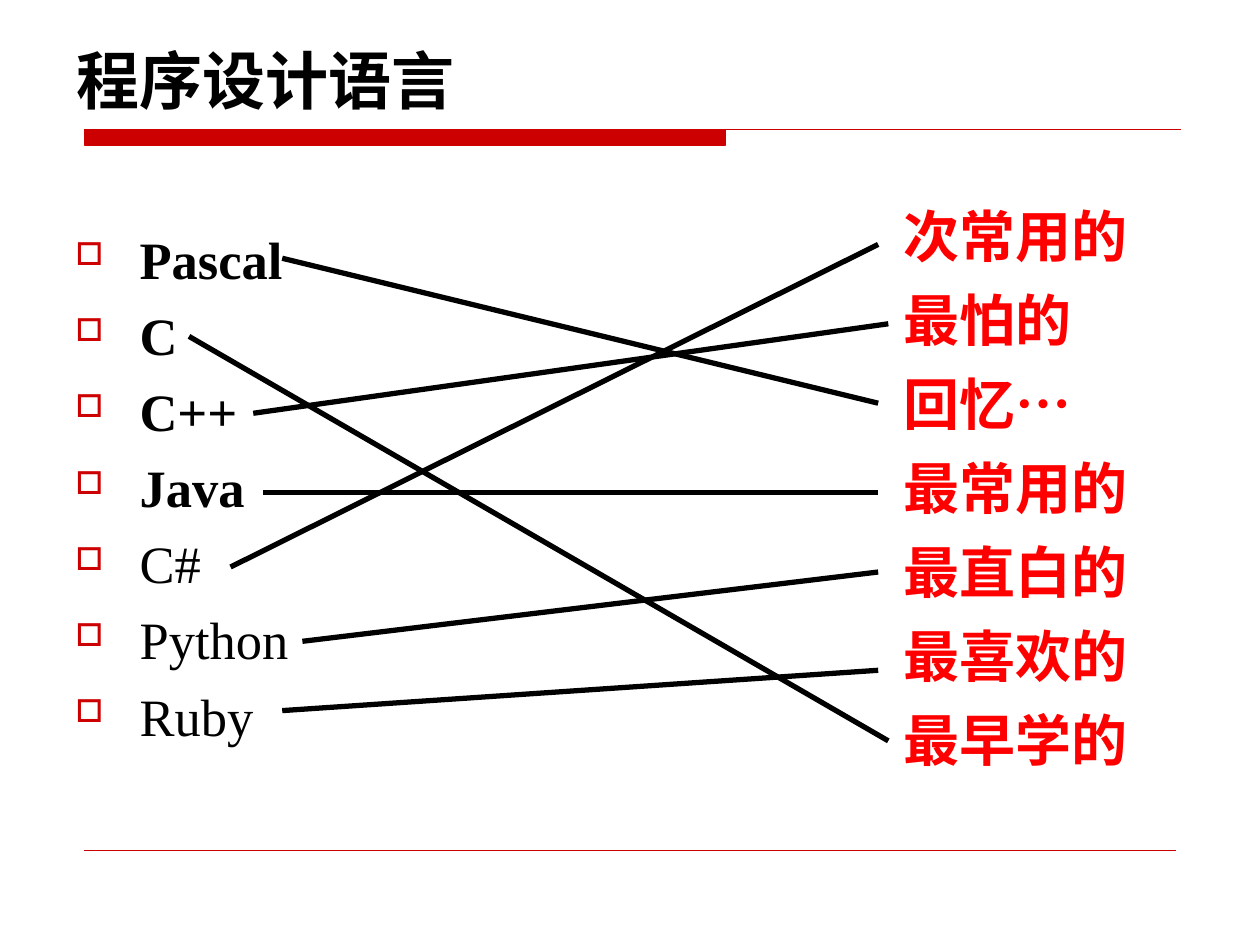
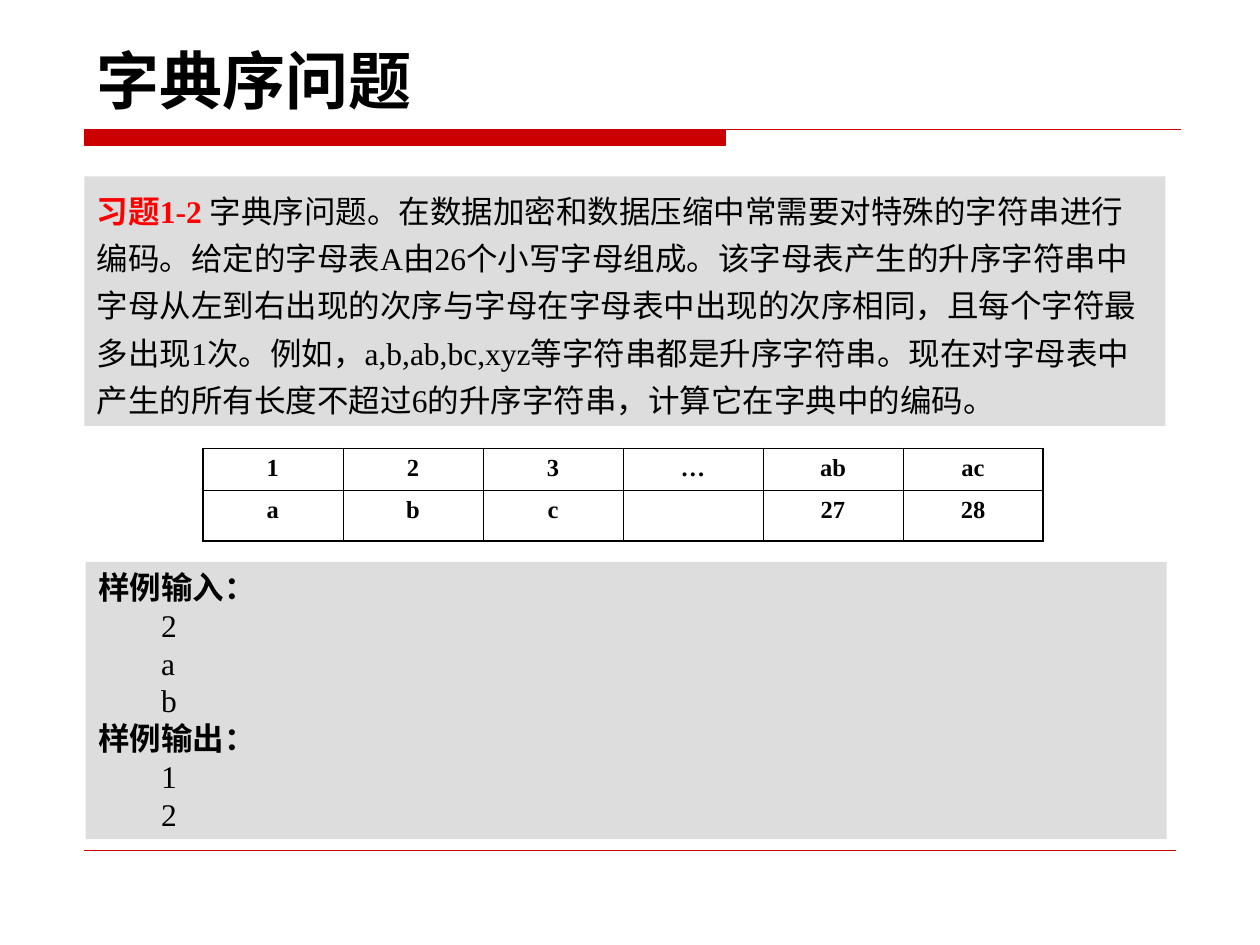
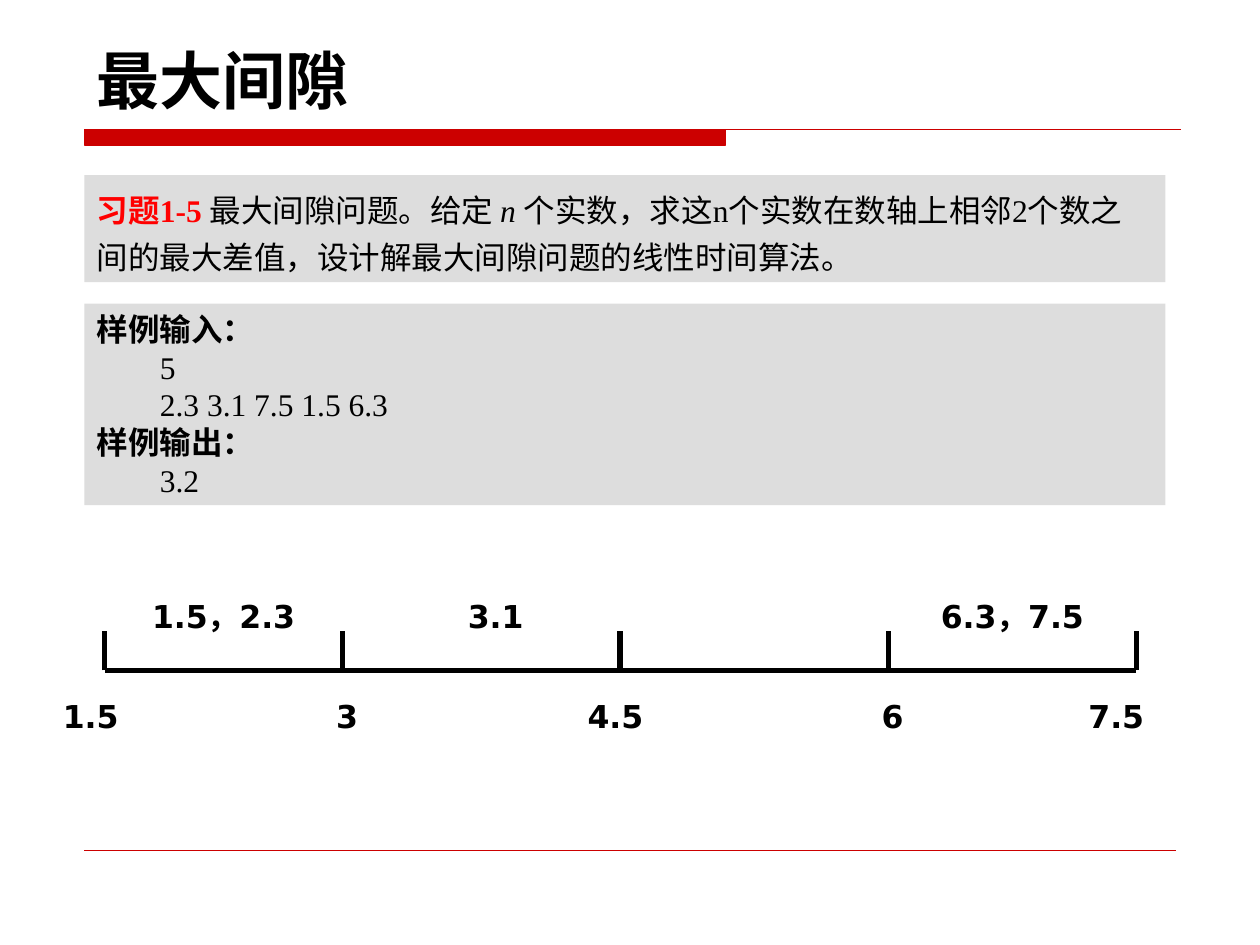
from dataclasses import dataclass

from lxml import etree
from pptx import Presentation
from pptx.dml.color import RGBColor
from pptx.enum import shapes, text
from pptx.oxml.ns import qn
from pptx.util import Inches, Pt


@dataclass(frozen=True)
class Theme:
    red: str = "CC0000"
    bright: str = "FF0000"
    black: str = "000000"
    panel: str = "DDDDDD"
    title_font: str = "DejaVu Sans"
    body_font: str = "Times New Roman"
    note_font: str = "Arial"
    title_size: int = 36
    note_size: int = 32
    list_size: int = 30
    body_size: int = 18
    cell_size: int = 14


T = Theme()


def rgb(color):
    return RGBColor.from_string(color)


def inches(*values):
    return [Inches(v) for v in values]


def add_run(p, content, size=T.body_size, font=T.body_font, color=T.black,
            bold=False, italic=False):
    r = p.add_run()
    r.text = content
    f = r.font
    f.size, f.name, f.bold, f.italic = Pt(size), font, bold, italic
    f.color.rgb = rgb(color)


def write(tf, paragraphs, align=text.PP_ALIGN.LEFT, spacing=None, before=0,
          bullet=None, **fmt):
    """Fill a frame; a paragraph is a string or a list of (text, format) runs."""
    tf.word_wrap = True
    for i, runs in enumerate(paragraphs):
        p = tf.add_paragraph() if i else tf.paragraphs[0]
        p.alignment = align
        if spacing:
            p.line_spacing = spacing
        if i and before:
            p.space_before = Pt(before)
        if bullet:
            add_bullet(p, bullet)
        for content, own in [(runs, {})] if isinstance(runs, str) else runs:
            add_run(p, content, **{**fmt, **own})


def add_bullet(p, char, indent=0.51):
    pPr = p._p.get_or_add_pPr()
    pPr.set("marL", str(Inches(indent)))
    pPr.set("indent", str(-Inches(indent)))
    color = etree.SubElement(pPr, qn("a:buClr"))
    etree.SubElement(color, qn("a:srgbClr"), val=T.red)
    etree.SubElement(pPr, qn("a:buSzPct"), val="60000")
    etree.SubElement(pPr, qn("a:buChar"), char=char)


def add_text(parent, box, paragraphs, grow=True, **fmt):
    tf = parent.add_textbox(*inches(*box)).text_frame
    write(tf, paragraphs, **fmt)
    if grow:
        tf.auto_size = text.MSO_AUTO_SIZE.SHAPE_TO_FIT_TEXT


def add_panel(slide, box, paragraphs, **fmt):
    sp = slide.shapes.add_shape(shapes.MSO_SHAPE.RECTANGLE, *inches(*box))
    sp.shadow.inherit = False
    sp.fill.solid()
    sp.fill.fore_color.rgb = rgb(T.panel)
    sp.line.fill.background()
    tf = sp.text_frame
    tf.vertical_anchor = text.MSO_ANCHOR.TOP
    write(tf, paragraphs, **fmt)
    tf.auto_size = text.MSO_AUTO_SIZE.SHAPE_TO_FIT_TEXT


def add_exercise(slide, box, number, *runs):
    head = (f"习题{number} ", dict(color=T.bright, bold=True))
    add_panel(slide, box, [[head, *runs]], spacing=1.25)


def add_sample(slide, box, given, expected):
    lines = []
    for heading, values in (("样例输入：", given), ("样例输出：", expected)):
        lines.append([(heading, dict(bold=True))])
        lines += ["\t" + value for value in values]
    add_panel(slide, box, lines)


def add_line(parent, x1, y1, x2, y2, color=T.black, width=3):
    line = parent.add_connector(shapes.MSO_CONNECTOR.STRAIGHT,
                                *inches(x1, y1, x2, y2))
    line.line.color.rgb = rgb(color)
    line.line.width = Pt(width)
    etree.SubElement(line._element.spPr, qn("a:effectLst"))


def add_title_band(slide):
    left, bar_end, right, top, bottom = inches(0.67, 5.76, 9.37, 1.03, 1.15)
    fb = slide.shapes.build_freeform(left, top)
    fb.add_line_segments([(bar_end, top), (bar_end, bottom), (left, bottom)])
    fb.move_to(left, top)
    fb.add_line_segments([(right, top)], close=False)
    sp = fb.convert_to_shape()
    sp.shadow.inherit = False
    sp.fill.solid()
    sp.fill.fore_color.rgb = rgb(T.red)
    sp.line.color.rgb = rgb(T.red)
    sp.line.width = Pt(0.75)


def new_slide(prs, title, left=0.67, width=7.87):
    slide = prs.slides.add_slide(prs.slide_layouts[6])
    add_title_band(slide)
    add_line(slide.shapes, 0.67, 6.75, 9.33, 6.75, color=T.red, width=0.25)
    add_text(slide.shapes, (left, 0.28, width, 0.7), [title],
             size=T.title_size, font=T.title_font, bold=True)
    return slide


def set_borders(cell, **widths):
    tcPr = cell._tc.get_or_add_tcPr()
    for side, width in widths.items():
        ln = etree.SubElement(tcPr, qn(f"a:ln{side}"), w=str(Pt(width)))
        fill = etree.SubElement(ln, qn("a:solidFill"))
        etree.SubElement(fill, qn("a:srgbClr"), val=T.black)


def add_grid(slide, box, rows, outer=1.08, inner=0.45):
    n_rows, n_cols = len(rows), len(rows[0])
    table = slide.shapes.add_table(n_rows, n_cols, *inches(*box)).table
    table.first_row = table.horz_banding = False
    for i, row in enumerate(rows):
        for j, value in enumerate(row):
            cell = table.cell(i, j)
            set_borders(cell,
                        L=inner if j else outer,
                        R=inner if j < n_cols - 1 else outer,
                        T=inner if i else outer,
                        B=inner if i < n_rows - 1 else outer)
            cell.fill.background()
            if value:
                write(cell.text_frame, [value], align=text.PP_ALIGN.CENTER,
                      size=T.cell_size, bold=True)


def languages_slide(prs):
    slide = new_slide(prs, "程序设计语言", left=0.51, width=9.13)
    main_languages = ["Pascal", "C", "C++", "Java"]
    names = [[(name, dict(bold=True))] for name in main_languages]
    add_text(slide.shapes, (0.5, 1.75, 2.93, 4.52),
             names + ["C#", "Python", "Ruby"], grow=False,
             before=7.5, bullet="□", size=T.list_size)
    add_text(slide.shapes, (7.07, 1.42, 2.18, 4.77),
             ["次常用的", "最怕的", "回忆…", "最常用的", "最直白的", "最喜欢的", "最早学的"],
             spacing=1.25, size=T.note_size, font=T.note_font,
             color=T.bright, bold=True)
    matches = [(2.24, 2.05, 6.97, 3.2), (1.5, 2.67, 7.05, 5.88),
               (2.01, 3.28, 7.05, 2.57), (2.09, 3.91, 6.97, 3.91),
               (1.83, 4.5, 6.97, 1.94), (2.4, 5.09, 6.97, 4.54),
               (2.24, 5.64, 6.97, 5.32)]
    for match in matches:
        add_line(slide.shapes, *match)


def dictionary_slide(prs):
    slide = new_slide(prs, "字典序问题")
    add_exercise(
        slide, (0.67, 1.4, 8.58, 1.98), "1-2",
        ("字典序问题。在数据加密和数据压缩中常需要对特殊的字符串进行编码。"
         "给定的字母表A由26个小写字母组成。该字母表产生的升序字符串中字母"
         "从左到右出现的次序与字母在字母表中出现的次序相同，且每个字符最多出现1次。"
         "例如，a,b,ab,bc,xyz等字符串都是升序字符串。现在对字母表中产生的所有"
         "长度不超过6的升序字符串，计算它在字典中的编码。", {}))
    add_sample(slide, (0.68, 4.46, 8.58, 2.2), ["2", "a", "b"], ["1", "2"])
    add_grid(slide, (1.61, 3.56, 6.67, 0.67),
             [["1", "2", "3", "…", "ab", "ac"],
              ["a", "b", "c", "", "27", "28"]])


def gap_slide(prs):
    slide = new_slide(prs, "最大间隙")
    add_exercise(
        slide, (0.67, 1.39, 8.58, 0.85), "1-5",
        ("最大间隙问题。给定 ", {}), ("n ", dict(italic=True)),
        ("个实数，求这n个实数在数轴上相邻2个数之间的最大差值，"
         "设计解最大间隙问题的线性时间算法。", {}))
    add_sample(slide, (0.67, 2.41, 8.58, 1.6),
               ["5", "2.3 3.1 7.5 1.5 6.3"], ["3.2"])

    label = dict(size=T.body_size, font=T.title_font, bold=True)
    left, center = text.PP_ALIGN.LEFT, text.PP_ALIGN.CENTER
    axis_y, tick_top = 5.32, 5.01
    ticks = [(0.83, 0.4, "1.5", left), (2.72, 2.32, "3", center),
             (4.92, 4.45, "4.5", center), (7.05, 6.65, "6", center),
             (9.02, 8.54, "7.5", left)]
    axis = slide.shapes.add_group_shape().shapes
    add_line(axis, ticks[0][0], axis_y, ticks[-1][0], axis_y)
    for x, label_left, value, align in ticks:
        add_line(axis, x, axis_y, x, tick_top)
        add_text(axis, (label_left, 5.48, 0.87, 0.4), [value],
                 align=align, **label)
    for x, width, members in [(0.83, 1.89, "1.5，2.3"), (3.5, 0.87, "3.1"),
                              (7.05, 1.97, "6.3，7.5")]:
        add_text(slide.shapes, (x, 4.69, width, 0.4), [members],
                 align=center, **label)


def main():
    prs = Presentation()
    prs.slide_width, prs.slide_height = inches(10, 7.5)
    languages_slide(prs)
    dictionary_slide(prs)
    gap_slide(prs)
    prs.save("out.pptx")


if __name__ == "__main__":
    main()
